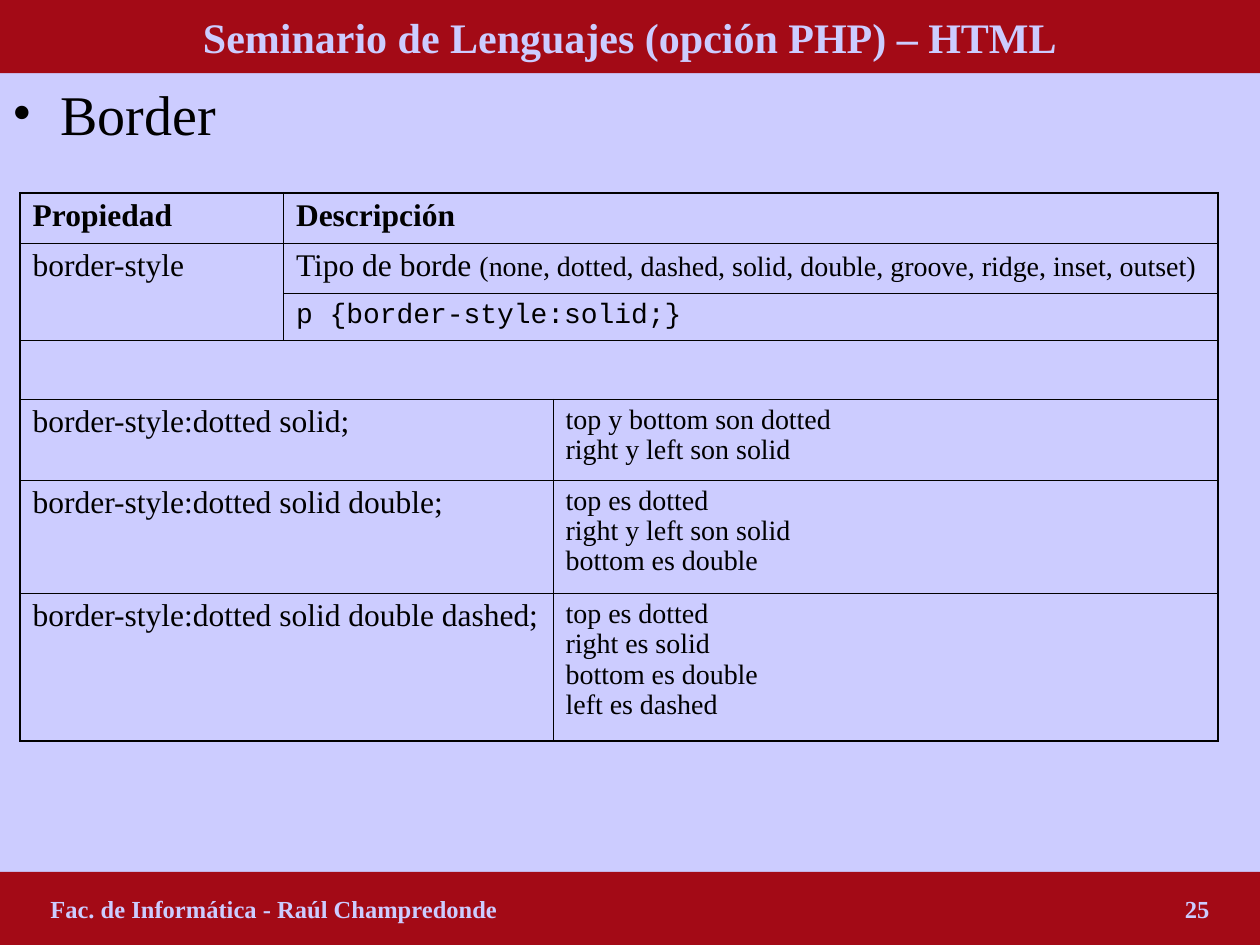
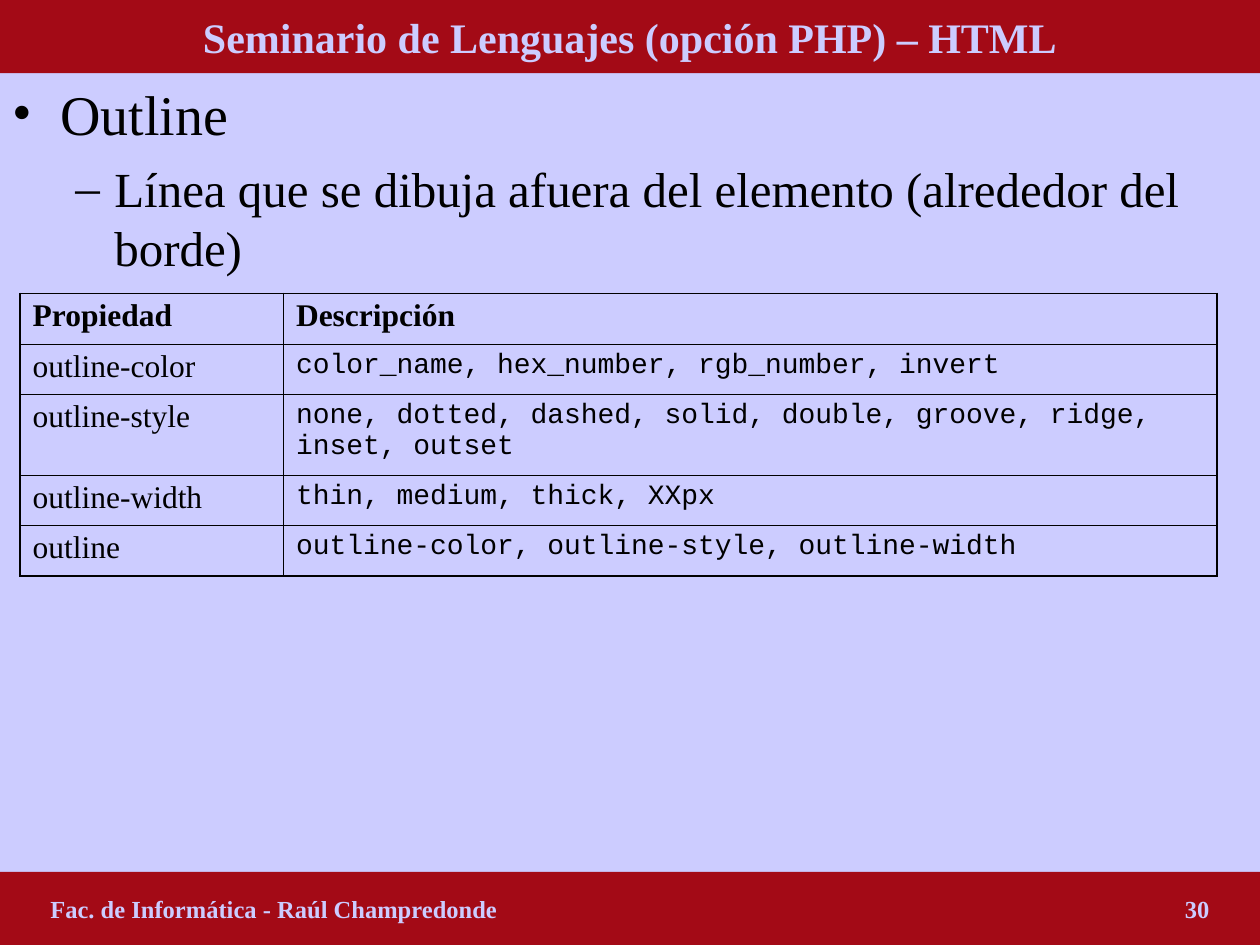
"""Builds two slides on the CSS border and outline properties."""
from dataclasses import dataclass
from itertools import product

from lxml.etree import SubElement
from pptx import Presentation
from pptx.dml.color import RGBColor as Color
from pptx.enum.shapes import MSO_SHAPE as Preset
from pptx.enum.text import MSO_ANCHOR as Anchor, MSO_AUTO_SIZE as AutoSize, PP_ALIGN as Align
from pptx.oxml.ns import qn
from pptx.util import Emu, Inches, Pt

TITLE_ONLY = 5
GRID_COLUMNS, GRID_ROWS = 100, 75
SLIDE_WIDTH, SLIDE_HEIGHT = Inches(10), Inches(7.5)


@dataclass(frozen=True)
class Theme:
    """Colours, fonts, type sizes and line widths of the deck."""
    paper: Color = Color.from_string("CCCCFF")
    band: Color = Color.from_string("A30A16")
    ink: Color = Color.from_string("000000")
    serif: str = "Times New Roman"
    mono: str = "Courier New"
    title_size: float = 24
    footer_size: float = 14
    cell_size: float = 18
    detail_size: float = 16
    cell_spacing: float = 0.97
    outer_line: float = 1.08
    inner_line: float = 0.45


@dataclass(frozen=True)
class Area:
    """A place on the slide, in columns and rows of the grid."""
    column: float
    row: float
    columns: float
    rows: float


@dataclass(frozen=True)
class Level:
    """The bullet style of one outline level, with indents in columns."""
    bullet: str
    size: float
    indent: float
    hanging: float
    space_before: float


@dataclass(frozen=True)
class Piece:
    """A stretch of text in one style."""
    text: str
    size: float
    font: str
    bold: bool = False


@dataclass(frozen=True)
class Entry:
    """A table cell with its place, its text and its span."""
    row: int
    column: int
    pieces: tuple[Piece, ...] = ()
    row_span: int = 1
    column_span: int = 1


@dataclass(frozen=True)
class Topic:
    """The content of one slide."""
    number: int
    outline: tuple[str, ...]
    table_row: float
    column_widths: tuple[float, ...]
    row_heights: tuple[float, ...]
    entries: tuple[Entry, ...]


THEME = Theme()
TITLE = "Seminario de Lenguajes (opción PHP) – HTML"
FOOTER = "Fac. de Informática - Raúl Champredonde"
BAND_ROWS = 5.8
FOOTER_MARGIN = 4
TABLE_COLUMN = 1.6
HEADER_AREA = Area(0, 0, GRID_COLUMNS, BAND_ROWS)
BODY_AREA = Area(0, BAND_ROWS, GRID_COLUMNS, GRID_ROWS - 2 * BAND_ROWS)
FOOTER_AREA = Area(0, GRID_ROWS - BAND_ROWS, GRID_COLUMNS, BAND_ROWS)
LEVELS = (Level("•", 32, 3.8, 3.8, 0), Level("–", 28, 8.1, 3.1, 7))


def across(columns: float) -> Emu:
    """Return the width of some grid columns."""
    return Emu(round(SLIDE_WIDTH * columns / GRID_COLUMNS))


def down(rows: float) -> Emu:
    """Return the height of some grid rows."""
    return Emu(round(SLIDE_HEIGHT * rows / GRID_ROWS))


def frame(area: Area) -> tuple[Emu, Emu, Emu, Emu]:
    """Return left, top, width and height of an area."""
    return across(area.column), down(area.row), across(area.columns), down(area.rows)


def heading(text: str) -> Piece:
    """Return a bold column heading."""
    return Piece(text, THEME.cell_size, THEME.serif, True)


def name(text: str) -> Piece:
    """Return text in the main cell style."""
    return Piece(text, THEME.cell_size, THEME.serif)


def detail(text: str) -> Piece:
    """Return text in the smaller cell style."""
    return Piece(text, THEME.detail_size, THEME.serif)


def code(text: str) -> Piece:
    """Return text in the code style."""
    return Piece(text, THEME.detail_size, THEME.mono)


def add_piece(para, piece: Piece, color: Color) -> None:
    """Add a piece to a paragraph, one run for each line."""
    for index, line in enumerate(piece.text.split("\n")):
        if index:
            para.add_line_break()
        span = para.add_run()
        span.text = line
        span.font.name = piece.font
        span.font.size = Pt(piece.size)
        span.font.bold = piece.bold
        span.font.color.rgb = color


def paint_band(box) -> None:
    """Give a shape the fill and text position of a band."""
    box.fill.solid()
    box.fill.fore_color.rgb = THEME.band
    box.line.fill.background()
    box.text_frame.auto_size = AutoSize.NONE
    box.text_frame.word_wrap = True
    box.text_frame.vertical_anchor = Anchor.MIDDLE


def add_header(page) -> None:
    """Turn the title placeholder into the top band."""
    box = page.shapes.title
    box.left, box.top, box.width, box.height = frame(HEADER_AREA)
    paint_band(box)
    para = box.text_frame.paragraphs[0]
    para.alignment = Align.CENTER
    add_piece(para, Piece(TITLE, THEME.title_size, THEME.serif, True), THEME.paper)


def add_footer(page, number: int) -> None:
    """Add the bottom band with the author and the page number."""
    box = page.shapes.add_shape(Preset.RECTANGLE, *frame(FOOTER_AREA))
    box.shadow.inherit = False
    paint_band(box)
    box.text_frame.margin_left = box.text_frame.margin_right = across(FOOTER_MARGIN)
    para = box.text_frame.paragraphs[0]
    para.alignment = Align.LEFT
    stops = SubElement(para._p.get_or_add_pPr(), qn("a:tabLst"))
    stop = across(GRID_COLUMNS - 2 * FOOTER_MARGIN)
    SubElement(stops, qn("a:tab"), pos=str(stop), algn="r")
    text = f"{FOOTER}\t{number}"
    add_piece(para, Piece(text, THEME.footer_size, THEME.serif, True), THEME.paper)


def add_outline(page, lines: tuple[str, ...]) -> None:
    """Add the bulleted lines, each one level deeper."""
    box = page.shapes.add_textbox(*frame(BODY_AREA))
    box.text_frame.word_wrap = True
    for depth, (text, level) in enumerate(zip(lines, LEVELS)):
        para = box.text_frame.add_paragraph() if depth else box.text_frame.paragraphs[0]
        para.level = depth
        para.space_before = Pt(level.space_before)
        settings = para._p.get_or_add_pPr()
        settings.set("marL", str(across(level.indent)))
        settings.set("indent", str(-across(level.hanging)))
        bullet_color = SubElement(settings, qn("a:buClr"))
        SubElement(bullet_color, qn("a:srgbClr"), val=str(THEME.ink))
        SubElement(settings, qn("a:buFont"), typeface=THEME.serif)
        SubElement(settings, qn("a:buChar"), char=level.bullet)
        add_piece(para, Piece(text, level.size, THEME.serif), THEME.ink)


def set_borders(cell, outer_edges: dict[str, bool]) -> None:
    """Draw the four borders of a cell, heavier on the outer edges."""
    settings = cell._tc.get_or_add_tcPr()
    for edge, is_outer in outer_edges.items():
        width = Pt(THEME.outer_line if is_outer else THEME.inner_line)
        line = SubElement(settings, qn(f"a:{edge}"), w=str(width))
        SubElement(SubElement(line, qn("a:solidFill")), qn("a:srgbClr"), val=str(THEME.ink))


def add_entry(table, entry: Entry) -> None:
    """Merge, outline and fill in the cells of one entry."""
    end_row = entry.row + entry.row_span
    end_column = entry.column + entry.column_span
    cell = table.cell(entry.row, entry.column)
    if entry.row_span * entry.column_span > 1:
        cell.merge(table.cell(end_row - 1, end_column - 1))
    outer_edges = {
        "lnL": entry.column == 0,
        "lnR": end_column == len(table.columns),
        "lnT": entry.row == 0,
        "lnB": end_row == len(table.rows),
    }
    for place in product(range(entry.row, end_row), range(entry.column, end_column)):
        part = table.cell(*place)
        set_borders(part, outer_edges)
        part.fill.background()
    para = cell.text_frame.paragraphs[0]
    para.line_spacing = THEME.cell_spacing
    for piece in entry.pieces:
        add_piece(para, piece, THEME.ink)


def add_property_table(page, topic: Topic) -> None:
    """Add the table of properties and descriptions."""
    widths, heights = topic.column_widths, topic.row_heights
    area = Area(TABLE_COLUMN, topic.table_row, sum(widths), sum(heights))
    table = page.shapes.add_table(len(heights), len(widths), *frame(area)).table
    table.first_row = table.horz_banding = False
    for column, width in zip(table.columns, widths):
        column.width = across(width)
    for row, height in zip(table.rows, heights):
        row.height = down(height)
    for entry in topic.entries:
        add_entry(table, entry)


STYLE_EXAMPLES = (
    ("border-style:dotted solid;", "top y bottom son dotted\nright y left son solid"),
    ("border-style:dotted solid double;",
     "top es dotted\nright y left son solid\nbottom es double"),
    ("border-style:dotted solid double dashed;",
     "top es dotted\nright es solid\nbottom es double\nleft es dashed"),
)
OUTLINE_PROPERTIES = (
    ("outline-color", "color_name, hex_number, rgb_number, invert"),
    ("outline-style", "none, dotted, dashed, solid, double, groove, ridge, inset, outset"),
    ("outline-width", "thin, medium, thick, XXpx"),
    ("outline", "outline-color, outline-style, outline-width"),
)
BORDER = Topic(
    25, ("Border",), 15.3, (20.9, 21.4, 52.8), (4, 4, 3.7, 4.7, 6.4, 9, 11.7),
    (
        Entry(0, 0, (heading("Propiedad"),)),
        Entry(0, 1, (heading("Descripción"),), column_span=2),
        Entry(1, 0, (name("border-style"),), row_span=2),
        Entry(1, 1, (name("Tipo de borde "), detail(
            "(none, dotted, dashed, solid, double, groove, ridge, inset, outset)")),
            column_span=2),
        Entry(2, 1, (code("p {border-style:solid;}"),), column_span=2),
        Entry(3, 0, column_span=3),
        *(Entry(row, 0, (name(rule),), column_span=2)
          for row, (rule, _) in enumerate(STYLE_EXAMPLES, 4)),
        *(Entry(row, 2, (detail(effect),))
          for row, (_, effect) in enumerate(STYLE_EXAMPLES, 4)),
    ),
)
OUTLINE = Topic(
    30, ("Outline", "Línea que se dibuja afuera del elemento (alrededor del borde)"),
    23.3, (20.9, 74.1), (4, 4, 6.4, 4, 4),
    (
        Entry(0, 0, (heading("Propiedad"),)),
        Entry(0, 1, (heading("Descripción"),)),
        *(Entry(row, 0, (name(label),))
          for row, (label, _) in enumerate(OUTLINE_PROPERTIES, 1)),
        *(Entry(row, 1, (code(values),))
          for row, (_, values) in enumerate(OUTLINE_PROPERTIES, 1)),
    ),
)


def main() -> None:
    """Build and save the deck."""
    deck = Presentation()
    deck.slide_width, deck.slide_height = SLIDE_WIDTH, SLIDE_HEIGHT
    background = deck.slide_master.background.fill
    background.solid()
    background.fore_color.rgb = THEME.paper
    for topic in (BORDER, OUTLINE):
        page = deck.slides.add_slide(deck.slide_layouts[TITLE_ONLY])
        add_header(page)
        add_outline(page, topic.outline)
        add_property_table(page, topic)
        add_footer(page, topic.number)
    deck.save("out.pptx")


if __name__ == "__main__":
    main()
